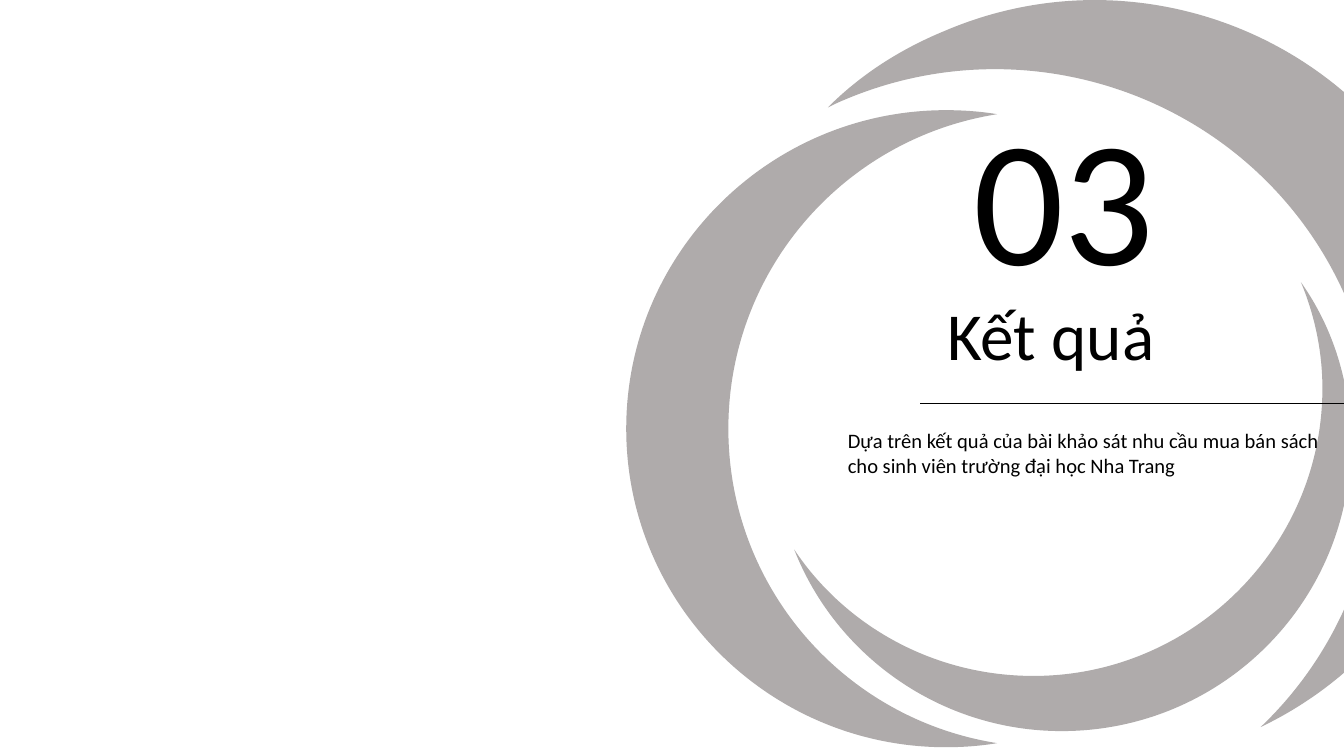
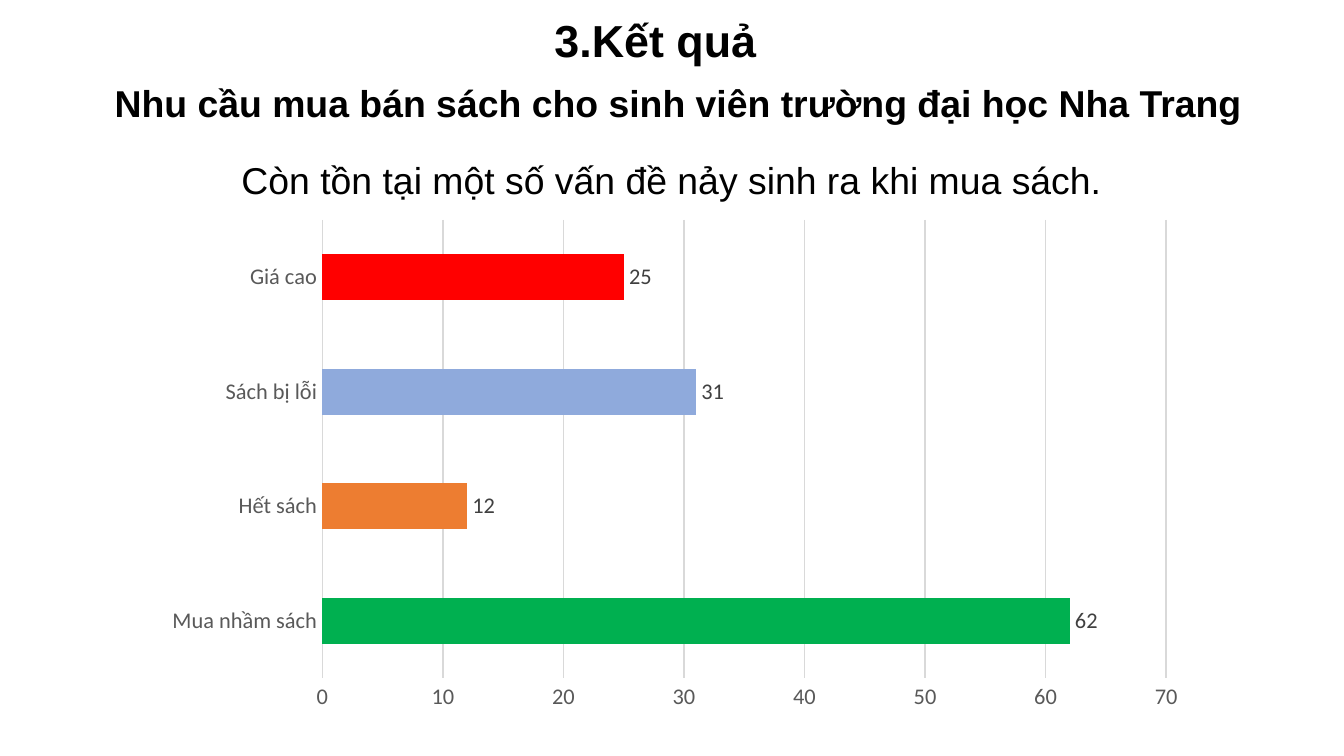
import pptx
import pptx.chart.data
import pptx.dml.color
import pptx.enum.chart
import pptx.enum.shapes
import pptx.enum.text
import pptx.oxml.ns
import pptx.util
import lxml.etree

RGBColor = pptx.dml.color.RGBColor
BLACK = RGBColor(0x00, 0x00, 0x00)
RING_GRAY = RGBColor(0xAF, 0xAB, 0xAB)
AXIS_GRAY = RGBColor(0x59, 0x59, 0x59)
LABEL_GRAY = RGBColor(0x40, 0x40, 0x40)
GRID_GRAY = RGBColor(0xD9, 0xD9, 0xD9)
SERIES_BLUE = RGBColor(0x44, 0x72, 0xC4)
GREEN = RGBColor(0x00, 0xB0, 0x50)
ORANGE = RGBColor(0xED, 0x7D, 0x31)
LIGHT_BLUE = RGBColor(0x8F, 0xAA, 0xDC)
RED = RGBColor(0xFF, 0x00, 0x00)

ALIGN = pptx.enum.text.PP_ALIGN
ANCHOR = pptx.enum.text.MSO_ANCHOR
TITLE_ONLY = 5
qn = pptx.oxml.ns.qn

presentation = pptx.Presentation()
presentation.slide_width = pptx.util.Inches(10)
presentation.slide_height = pptx.util.Inches(5.625)
CELL = presentation.slide_width / 100


def grid(*cells):
    return [pptx.util.Emu(round(cell * CELL)) for cell in cells]


def write_text(shape, box, text, size, font, align, bold=False, anchor=ANCHOR.TOP, spacing=1.0, inset=1):
    shape.left, shape.top, shape.width, shape.height = grid(*box)
    frame = shape.text_frame
    frame.word_wrap = True
    frame.auto_size = pptx.enum.text.MSO_AUTO_SIZE.NONE
    frame.vertical_anchor = anchor
    frame.margin_left, frame.margin_right, frame.margin_top, frame.margin_bottom = grid(1, 1, inset, inset)
    paragraph = frame.paragraphs[0]
    paragraph.alignment = align
    paragraph.line_spacing = spacing
    run = paragraph.add_run()
    run.text = text
    run.font.size = pptx.util.Pt(size)
    run.font.name = font
    run.font.bold = bold
    run.font.color.rgb = BLACK


layout = presentation.slide_layouts[TITLE_ONLY]
section_slide = presentation.slides.add_slide(layout)

crescents = [
    ((46.6, 8.2, 74.2, 55.6), [
        (74.2, 55.3),
        (73, 55.5), (71.7, 55.6), (70.4, 55.6),
        (57.3, 55.6), (46.6, 45), (46.6, 31.9),
        (46.6, 18.8), (57.3, 8.2), (70.4, 8.2),
        (71.7, 8.2), (73, 8.3), (74.2, 8.5),
        (62.8, 10.3), (54.2, 20.1), (54.2, 31.9),
        (54.2, 43.7), (62.8, 53.5), (74.2, 55.3)]),
    ((59.1, 21, 100.5, 54.4), [
        (100.5, 33),
        (100.5, 44.8), (90.9, 54.4), (79, 54.4),
        (70, 54.4), (62.2, 48.8), (59.1, 40.9),
        (62.9, 46.6), (69.5, 50.3), (76.9, 50.3),
        (88.7, 50.3), (98.4, 40.7), (98.4, 28.9),
        (98.4, 26.1), (97.8, 23.4), (96.8, 21),
        (99.2, 24.4), (100.5, 28.5), (100.5, 33)]),
    ((61.6, 0, 110, 54.1), [
        (107.7, 17.4),
        (113.6, 31.4), (107.4, 47.6), (93.8, 54.1),
        (102.1, 46.2), (105, 33.7), (100.3, 22.5),
        (94.2, 8), (77.4, 1.3), (62.9, 7.4),
        (62.4, 7.6), (62, 7.8), (61.6, 8),
        (64, 5.6), (66.9, 3.7), (70.3, 2.3),
        (84.8, -3.9), (101.6, 2.9), (107.7, 17.4)]),
]
for (left, top, right, bottom), outline in crescents:
    builder = section_slide.shapes.build_freeform(*grid(left, top))
    builder.add_line_segments([grid(right, bottom)], close=True)
    crescent = builder.convert_to_shape()
    crescent.shadow.inherit = False
    crescent.fill.solid()
    crescent.fill.fore_color.rgb = RING_GRAY
    crescent.line.fill.background()
    contour = crescent.element.spPr.find(".//" + qn("a:path"))
    for segment in list(contour):
        contour.remove(segment)
    for index, (x, y) in enumerate(outline):
        if index == 0:
            segment = lxml.etree.SubElement(contour, qn("a:moveTo"))
        elif index % 3 == 1:
            segment = lxml.etree.SubElement(contour, qn("a:cubicBezTo"))
        across, down = grid(x - left, y - top)
        lxml.etree.SubElement(segment, qn("a:pt"), x=str(int(across)), y=str(int(down)))
    lxml.etree.SubElement(contour, qn("a:close"))

section_title = section_slide.shapes.title
write_text(section_title, (30.1, 14.7, 56.8, 21), "Kết quả", 36, "Calibri",
           ALIGN.RIGHT, anchor=ANCHOR.MIDDLE, spacing=0.9)
section_number = section_slide.shapes.add_textbox(0, 0, 0, 0)
write_text(section_number, (54.4, 11.3, 32.5, 8.3), "03", 96, "Calibri",
           ALIGN.RIGHT, anchor=ANCHOR.MIDDLE, spacing=0.9)
section_number.element.addprevious(section_title.element)
subtitle = section_slide.shapes.add_textbox(0, 0, 0, 0)
write_text(subtitle, (62.1, 30.84, 37.4, 5.9),
           "Dựa trên kết quả của bài khảo sát nhu cầu mua bán sách cho sinh viên trường đại học Nha Trang",
           11, "Calibri", ALIGN.LEFT)

divider = section_slide.shapes.add_connector(
    pptx.enum.shapes.MSO_CONNECTOR.STRAIGHT, *grid(68.46, 30.03, 100.5, 30.03))
divider.line.color.rgb = BLACK
divider.line.width = pptx.util.Pt(0.75)
lxml.etree.SubElement(divider.element.spPr, qn("a:effectLst"))

result_slide = presentation.slides.add_slide(layout)
write_text(result_slide.shapes.title, (32.06, -1.05, 25.2, 8), "3.Kết quả", 24, "Arial",
           ALIGN.RIGHT, bold=True, anchor=ANCHOR.MIDDLE)
finding = result_slide.shapes.add_textbox(0, 0, 0, 0)
write_text(finding, (7.94, 11.24, 84.1, 4.4), "Còn tồn tại một số vấn đề nảy sinh ra khi mua sách.",
           20, "Arial", ALIGN.CENTER, inset=0.5)
topic = result_slide.shapes.add_textbox(0, 0, 0, 0)
write_text(topic, (7.54, 5, 86.8, 5.9), "Nhu cầu mua bán sách cho sinh viên trường đại học Nha Trang",
           20, "Arial", ALIGN.LEFT, bold=True)

problems = [
    ("Mua nhầm sách", 62, GREEN),
    ("Hết sách", 12, ORANGE),
    ("Sách bị lỗi", 31, LIGHT_BLUE),
    ("Giá cao", 25, RED),
]
chart_data = pptx.chart.data.CategoryChartData()
chart_data.categories = [name for name, count, color in problems]
chart_data.add_series("Series 1", [count for name, count, color in problems])
chart = result_slide.shapes.add_chart(
    pptx.enum.chart.XL_CHART_TYPE.BAR_CLUSTERED, *grid(11.27, 15.6, 77.9, 38), chart_data).chart
chart.has_title = False
chart.has_legend = False
chart.font.size = pptx.util.Pt(10)
chart.font.name = "Calibri"
chart.font.color.rgb = BLACK

for axis in (chart.category_axis, chart.value_axis):
    axis.major_tick_mark = pptx.enum.chart.XL_TICK_MARK.NONE
    axis.minor_tick_mark = pptx.enum.chart.XL_TICK_MARK.NONE
    axis.format.line.fill.background()
    axis.tick_labels.font.size = pptx.util.Pt(12)
    axis.tick_labels.font.name = "Calibri"
    axis.tick_labels.font.color.rgb = AXIS_GRAY
chart.value_axis.minimum_scale = 0
chart.value_axis.maximum_scale = 70
chart.value_axis.major_unit = 10
chart.value_axis.has_major_gridlines = True
gridline = chart.value_axis.major_gridlines.format.line
gridline.color.rgb = GRID_GRAY
gridline.width = pptx.util.Pt(0.75)

plot = chart.plots[0]
plot.gap_width = 150
plot.vary_by_categories = False
series = plot.series[0]
series.format.fill.solid()
series.format.fill.fore_color.rgb = SERIES_BLUE
for index, (name, count, color) in enumerate(problems):
    bar = series.points[index].format.fill
    bar.solid()
    bar.fore_color.rgb = color
labels = series.data_labels
labels.show_value = True
labels.position = pptx.enum.chart.XL_LABEL_POSITION.OUTSIDE_END
labels.font.size = pptx.util.Pt(12)
labels.font.name = "Calibri"
labels.font.color.rgb = LABEL_GRAY

presentation.save("out.pptx")
